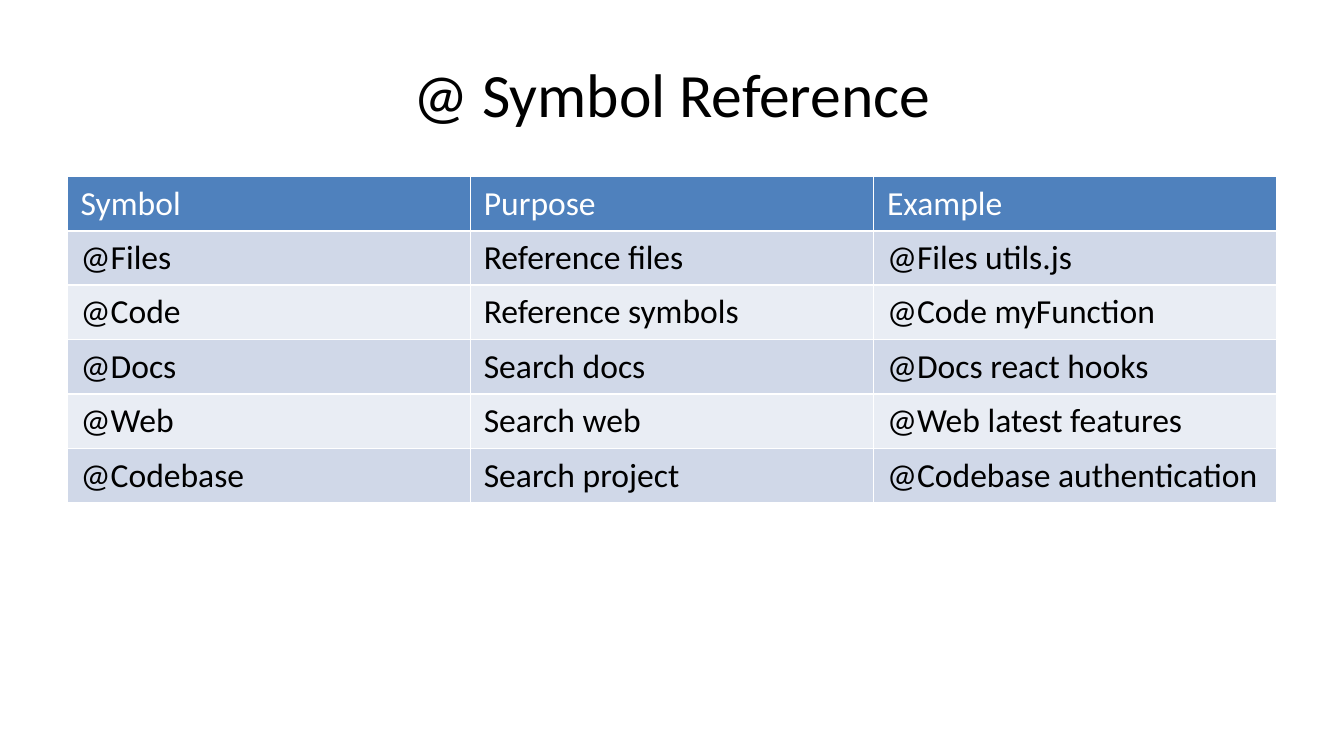
from pptx import Presentation
from pptx.dml.color import RGBColor
from pptx.enum.text import MSO_ANCHOR as Anchor, PP_ALIGN as Align
from pptx.util import Pt

BLACK = RGBColor(0x00, 0x00, 0x00)
WHITE = RGBColor(0xFF, 0xFF, 0xFF)
HEADER_BLUE = RGBColor(0x4F, 0x81, 0xBD)
BANDS = (RGBColor(0xD0, 0xD8, 0xE8), RGBColor(0xE9, 0xED, 0xF4))

SLIDE_WIDTH, SLIDE_HEIGHT = 720, 405
MARGIN = 36
CONTENT_WIDTH = SLIDE_WIDTH - 2 * MARGIN

SYMBOL_ROWS = (
    ("Symbol", "Purpose", "Example"),
    ("@Files", "Reference files", "@Files utils.js"),
    ("@Code", "Reference symbols", "@Code myFunction"),
    ("@Docs", "Search docs", "@Docs react hooks"),
    ("@Web", "Search web", "@Web latest features"),
    ("@Codebase", "Search project", "@Codebase authentication"),
)


class SlideBuilder:
    font_name = "Calibri"
    title_size = 33
    table_size = 18
    row_height = 29.15

    def __init__(self, slide):
        self.slide = slide

    def add_run(self, paragraph, text, size, color):
        run = paragraph.add_run()
        run.text = text
        font = run.font
        font.name = self.font_name
        font.size = Pt(size)
        font.bold = False
        font.color.rgb = color

    def add_title(self, text, left, top, width, height):
        shape = self.slide.shapes.add_textbox(Pt(left), Pt(top), Pt(width), Pt(height))
        frame = shape.text_frame
        frame.word_wrap = True
        frame.vertical_anchor = Anchor.MIDDLE
        paragraph = frame.paragraphs[0]
        paragraph.alignment = Align.CENTER
        self.add_run(paragraph, text, self.title_size, BLACK)

    def add_table(self, rows, left, top, width):
        """Add a table with a blue header row and alternating bands below it."""
        shape = self.slide.shapes.add_table(
            len(rows), len(rows[0]), Pt(left), Pt(top),
            Pt(width), Pt(self.row_height * len(rows)),
        )
        table = shape.table
        for row_index, texts in enumerate(rows):
            table.rows[row_index].height = Pt(self.row_height)
            is_header = row_index == 0
            fill_color = HEADER_BLUE if is_header else BANDS[(row_index - 1) % 2]
            text_color = WHITE if is_header else BLACK
            for column_index, text in enumerate(texts):
                cell = table.cell(row_index, column_index)
                cell.fill.solid()
                cell.fill.fore_color.rgb = fill_color
                paragraph = cell.text_frame.paragraphs[0]
                self.add_run(paragraph, text, self.table_size, text_color)


def main():
    presentation = Presentation()
    presentation.slide_width = Pt(SLIDE_WIDTH)
    presentation.slide_height = Pt(SLIDE_HEIGHT)
    blank_layout = presentation.slide_layouts[6]
    builder = SlideBuilder(presentation.slides.add_slide(blank_layout))

    builder.add_title("@ Symbol Reference", MARGIN, 16.2, CONTENT_WIDTH, 67.5)
    builder.add_table(SYMBOL_ROWS, MARGIN, 94.5, CONTENT_WIDTH)

    presentation.save("out.pptx")


if __name__ == "__main__":
    main()
